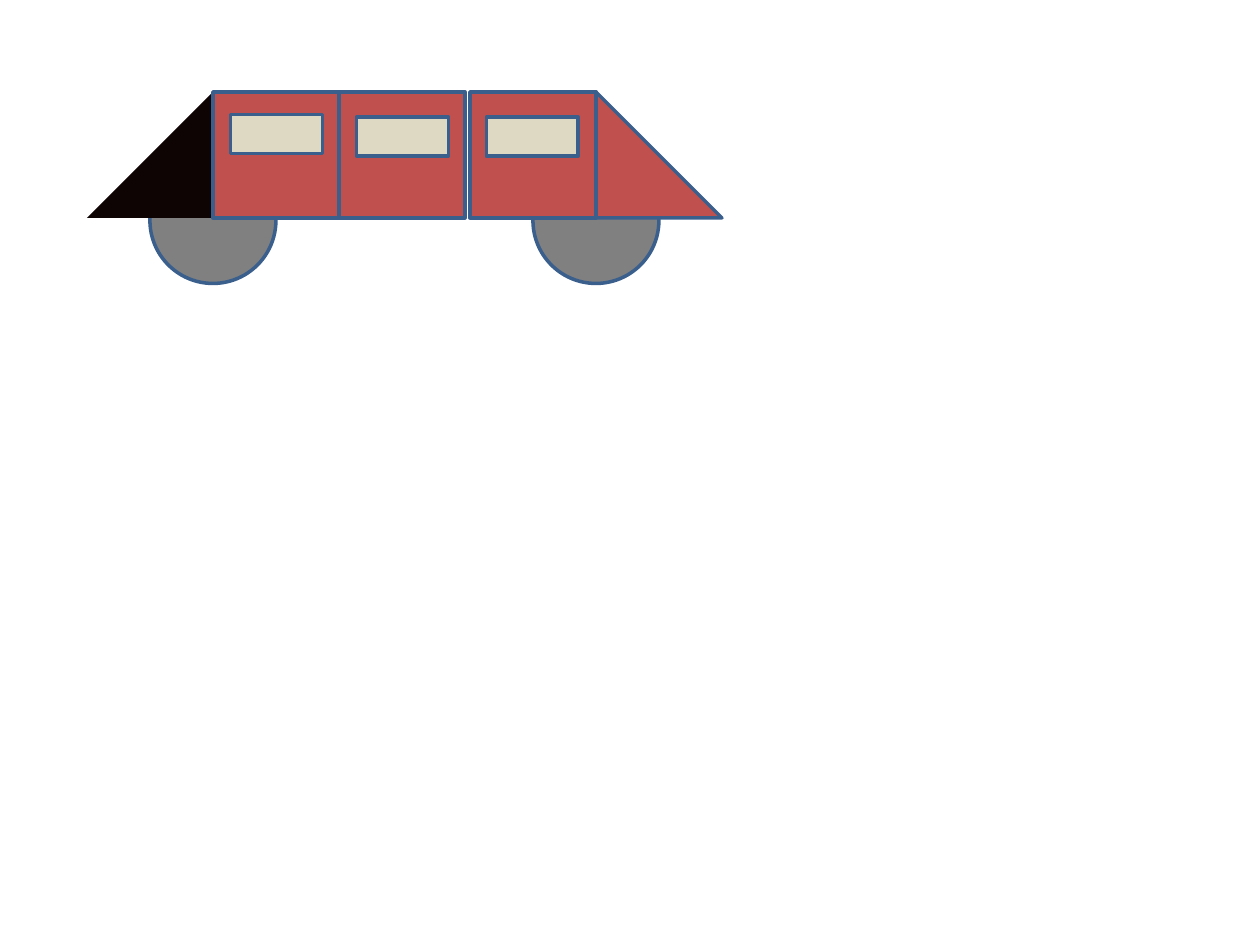
from pptx import Presentation
from pptx import util as u
from pptx.dml import color
from pptx.enum import shapes

COLORS = {
    "wheel": "808080",
    "body": "C0504D",
    "shade": "0F0404",
    "window": "DDD9C3",
    "outline": "3A5F8C",
}
KIND = shapes.MSO_SHAPE


def add_part(page, kind, left, top, width, height, fill, outlined=True):
    part = page.shapes.add_shape(
        kind, u.Inches(left), u.Inches(top), u.Inches(width), u.Inches(height)
    )
    part.shadow.inherit = False
    part.fill.solid()
    part.fill.fore_color.rgb = color.RGBColor.from_string(COLORS[fill])
    if outlined:
        part.line.color.rgb = color.RGBColor.from_string(COLORS["outline"])
        part.line.width = u.Pt(2)
    else:
        part.line.fill.background()
    return part


def add_car(page, left, top, unit):
    cabins = [left + unit, left + 2 * unit, left + 3.04 * unit]
    nose = cabins[-1] + unit

    for axle in (cabins[0], nose):
        add_part(page, KIND.OVAL, axle - unit / 2, top + 0.52 * unit, unit, unit, "wheel")

    add_part(page, KIND.RIGHT_TRIANGLE, nose, top, unit, unit, "body")
    tail = add_part(page, KIND.RIGHT_TRIANGLE, left, top, unit, unit, "shade", outlined=False)
    tail._element.spPr.get_or_add_xfrm().set("flipH", "1")

    for cabin in (cabins[1], cabins[2], cabins[0]):
        add_part(page, KIND.RECTANGLE, cabin, top, unit, unit, "body")

    insets = [(0.14, 0.18), (0.14, 0.2), (0.13, 0.2)]
    for cabin, (across, down) in zip(cabins, insets):
        add_part(
            page, KIND.RECTANGLE, cabin + across * unit, top + down * unit,
            0.73 * unit, 0.31 * unit, "window",
        )


def main():
    deck = Presentation()
    deck.slide_width = u.Inches(10)
    deck.slide_height = u.Inches(7.5)
    page = deck.slides.add_slide(deck.slide_layouts[6])
    add_car(page, left=0.69, top=0.73, unit=1)
    deck.save("out.pptx")


if __name__ == "__main__":
    main()
